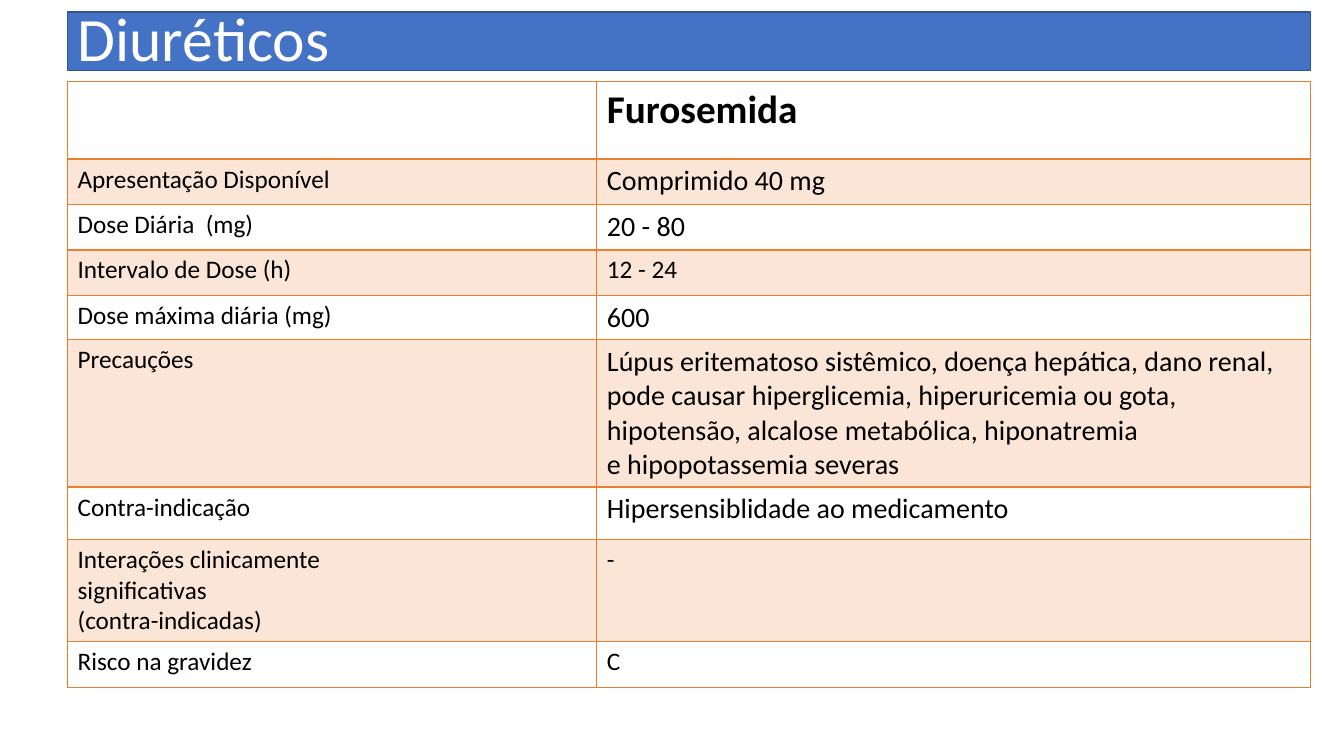
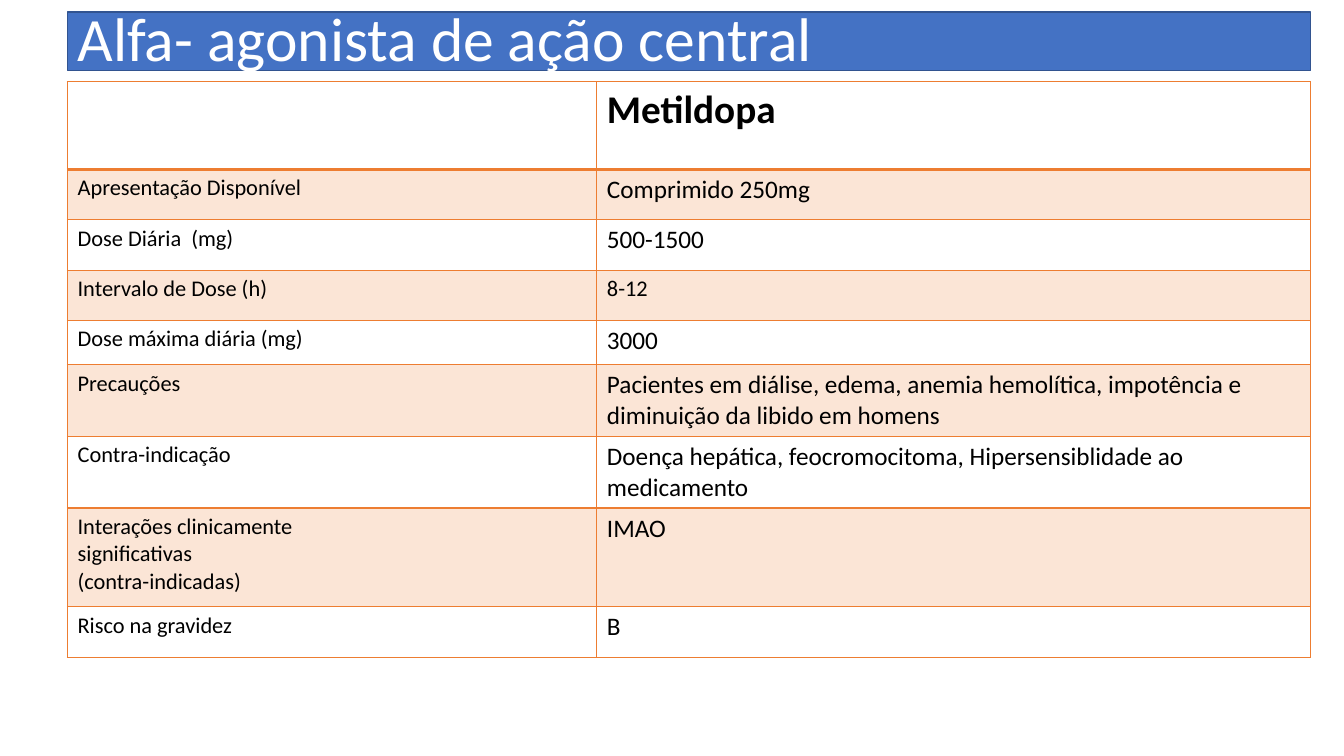
"""Two slides of drug reference tables with a shared title band and grid."""
from lxml.etree import SubElement
from pptx import Presentation
from pptx.dml.color import RGBColor
from pptx.enum.text import MSO_ANCHOR, MSO_AUTO_SIZE, PP_ALIGN
from pptx.oxml import parse_xml
from pptx.oxml.ns import nsdecls, qn
from pptx.util import Inches, Pt

COLOURS = {
    "band": "4472C4", "band_edge": "325490", "title": "FFFFFF",
    "text": "000000", "grid": "ED7D31", "stripe": "FBE5D6",
}
FONT = "Calibri"
SLIDE_WIDTH, SLIDE_HEIGHT = 13.33, 7.5
LEFT, CONTENT_WIDTH = 0.67, 12.33
BAND_TOP, BAND_HEIGHT = 0.12, 0.58
TABLE_TOP = 0.81
COLUMNS = (5.25, 7.08)
THIN, THICK = 0.96, 1.98

LABELS = (
    "Apresentação Disponível",
    "Dose Diária  (mg)",
    "Intervalo de Dose (h)",
    "Dose máxima diária (mg)",
    "Precauções",
    "Contra-indicação",
    "Interações clinicamente\nsignificativas\n(contra-indicadas)",
    "Risco na gravidez",
)
DRUGS = (
    {
        "group": "Diuréticos",
        "drug": "Furosemida",
        "values": (
            "Comprimido 40 mg", "20 - 80", "12 - 24", "600",
            "Lúpus eritematoso sistêmico, doença hepática, dano renal, "
            "pode causar hiperglicemia, hiperuricemia ou gota, "
            "hipotensão, alcalose metabólica, hiponatremia\n"
            "e hipopotassemia severas",
            "Hipersensiblidade ao medicamento", "-", "C",
        ),
        "label_size": 18,
        "value_size": 20,
        "small_values": ("12 - 24", "-", "C"),
        "heights": (0.77, 0.45, 0.45, 0.45, 0.4, 1.21, 0.52, 0.87, 0.45),
    },
    {
        "group": "Alfa- agonista de ação central",
        "drug": "Metildopa",
        "values": (
            "Comprimido 250mg", "500-1500", "8-12", "3000",
            "Pacientes em diálise, edema, anemia hemolítica, impotência e "
            "diminuição da libido em homens",
            "Doença hepática, feocromocitoma, Hipersensiblidade ao medicamento",
            "IMAO", "B",
        ),
        "label_size": 16,
        "value_size": 18,
        "small_values": ("8-12",),
        "heights": (0.87, 0.5, 0.5, 0.5, 0.44, 0.6, 0.6, 0.98, 0.5),
    },
)


def colour(key):
    return RGBColor.from_string(COLOURS[key])


def write(frame, text, size, ink, bold=False):
    frame.text = text
    style = {"name": FONT, "size": Pt(size), "bold": bold}
    for paragraph in frame.paragraphs:
        for run in paragraph.runs:
            for attribute, value in style.items():
                setattr(run.font, attribute, value)
            run.font.color.rgb = colour(ink)


def add_title_band(slide, group):
    band = slide.shapes.title
    place = {"left": LEFT, "top": BAND_TOP, "width": CONTENT_WIDTH, "height": BAND_HEIGHT}
    for attribute, value in place.items():
        setattr(band, attribute, Inches(value))
    band.fill.solid()
    band.fill.fore_color.rgb = colour("band")
    band.line.color.rgb = colour("band_edge")
    band.line.width = Pt(1)
    frame = band.text_frame
    frame.auto_size = MSO_AUTO_SIZE.NONE
    frame.vertical_anchor = MSO_ANCHOR.MIDDLE
    write(frame, group, 44, "title")
    frame.paragraphs[0].alignment = PP_ALIGN.LEFT
    frame.paragraphs[0].line_spacing = 0.9


def set_borders(cell, row):
    widths = {
        "lnL": THIN, "lnR": THIN,
        "lnT": THICK if row == 1 else THIN,
        "lnB": THICK if row == 0 else THIN,
    }
    properties = cell._tc.get_or_add_tcPr()
    for position, (side, width) in enumerate(widths.items()):
        border = parse_xml(f'<a:{side} {nsdecls("a")} w="{Pt(width)}"/>')
        fill = SubElement(border, qn("a:solidFill"))
        SubElement(fill, qn("a:srgbClr"), val=COLOURS["grid"])
        properties.insert(position, border)


def add_drug_table(slide, drug):
    heights = drug["heights"]
    table = slide.shapes.add_table(
        len(heights), len(COLUMNS), Inches(LEFT), Inches(TABLE_TOP),
        Inches(CONTENT_WIDTH), Inches(sum(heights)),
    ).table
    table.horz_banding = False
    for column, width in zip(table.columns, COLUMNS):
        column.width = Inches(width)
    for row, height in zip(table.rows, heights):
        row.height = Inches(height)

    write(table.cell(0, 1).text_frame, drug["drug"], 28, "text", bold=True)
    for row, (label, value) in enumerate(zip(LABELS, drug["values"]), start=1):
        small = value in drug["small_values"]
        value_size = drug["label_size" if small else "value_size"]
        write(table.cell(row, 0).text_frame, label, drug["label_size"], "text")
        write(table.cell(row, 1).text_frame, value, value_size, "text")

    for row in range(len(heights)):
        for column in range(len(COLUMNS)):
            cell = table.cell(row, column)
            if row % 2:
                cell.fill.solid()
                cell.fill.fore_color.rgb = colour("stripe")
            else:
                cell.fill.background()
            set_borders(cell, row)


def main():
    deck = Presentation()
    deck.slide_width, deck.slide_height = Inches(SLIDE_WIDTH), Inches(SLIDE_HEIGHT)
    title_only = deck.slide_layouts[5]
    for drug in DRUGS:
        slide = deck.slides.add_slide(title_only)
        add_title_band(slide, drug["group"])
        add_drug_table(slide, drug)
    deck.save("out.pptx")


if __name__ == "__main__":
    main()
